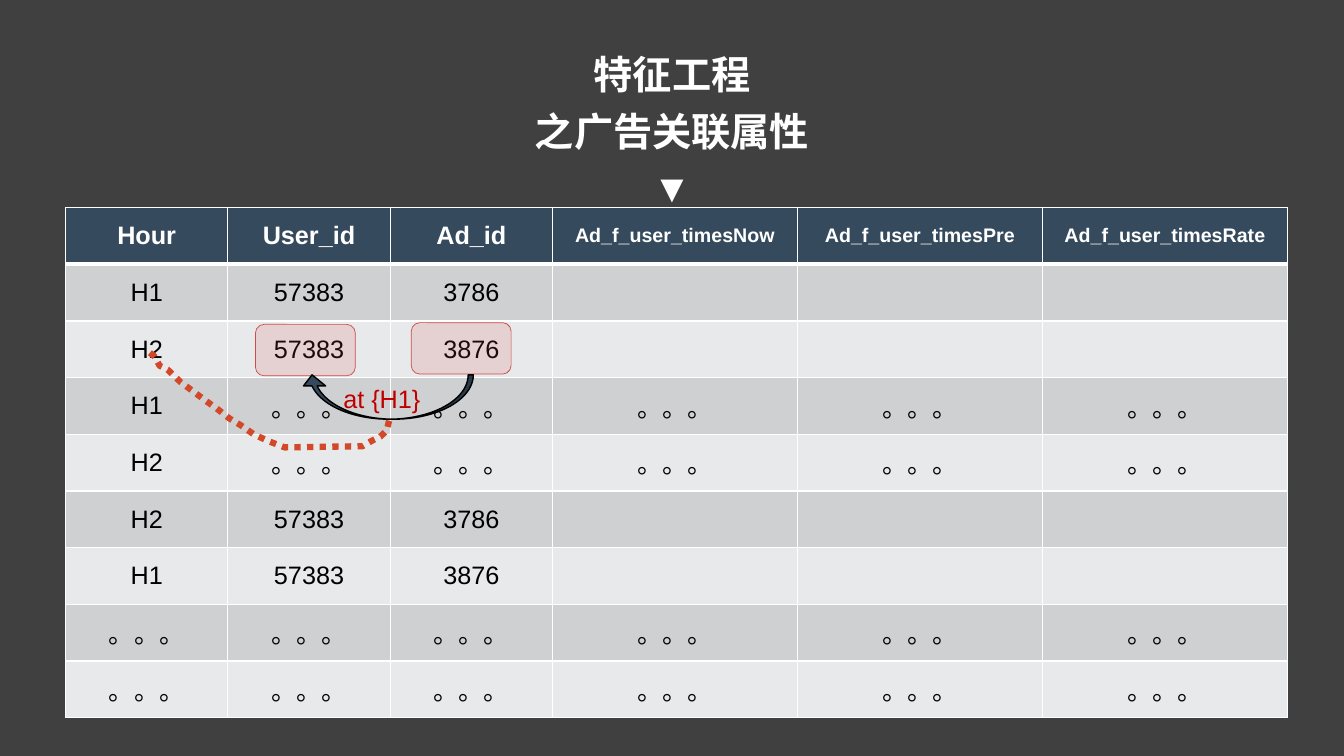
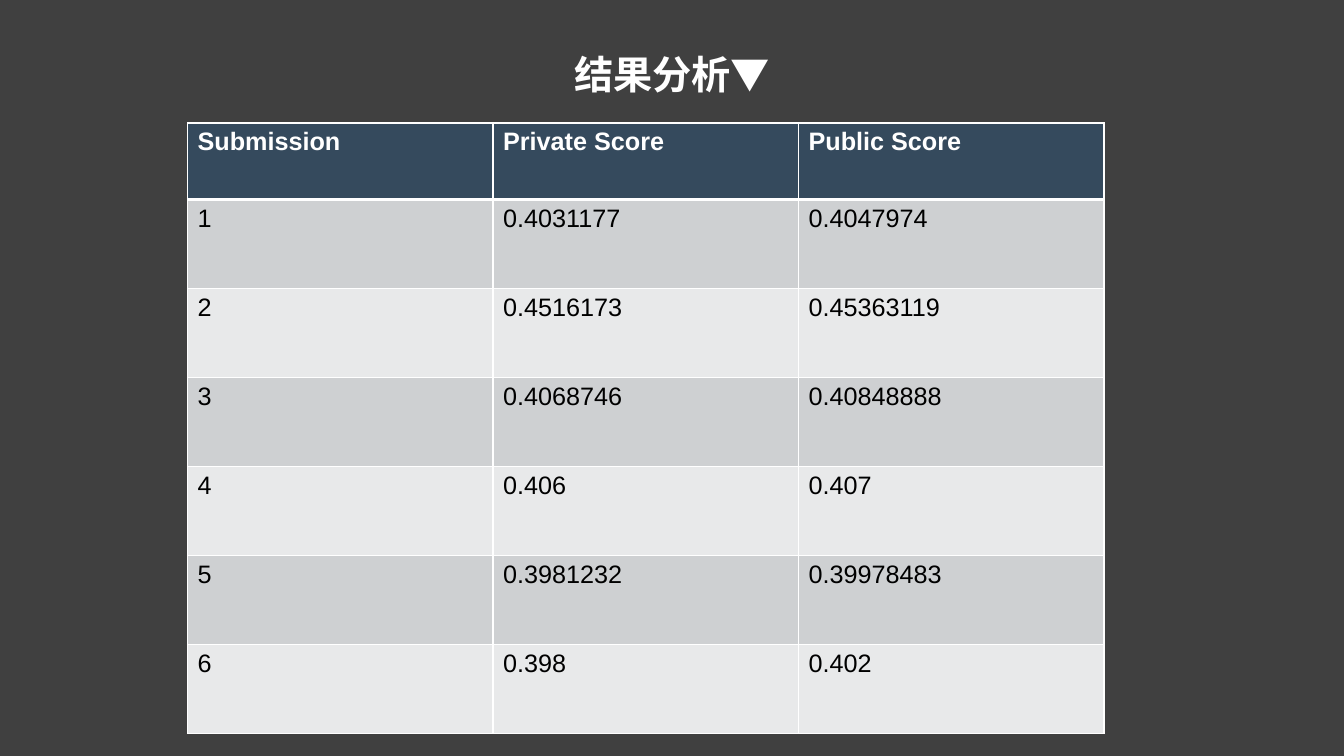
from dataclasses import dataclass
from itertools import accumulate

from pptx import Presentation
from pptx.dml.color import RGBColor
from pptx.enum.dml import MSO_LINE
from pptx.enum.shapes import MSO_SHAPE as Preset
from pptx.enum.text import MSO_ANCHOR as Anchor, MSO_AUTO_SIZE as AutoSize, PP_ALIGN as Align
from pptx.oxml.ns import qn
from pptx.util import Inches, Pt
from lxml.etree import SubElement


@dataclass(frozen=True)
class Theme:
    font: str = "Arial"
    background: str = "404040"
    white: str = "FFFFFF"
    ink: str = "000000"
    navy: str = "354A5D"
    bands: tuple = ("CED0D2", "E8E9EA")
    mark: str = "D54948"
    mark_line: str = "CE4C4B"
    label: str = "C00000"
    trail: str = "D24829"
    title_size: int = 28
    body_size: int = 18
    small_size: int = 14


THEME = Theme()
WIDTH, HEIGHT = 13.33, 7.5
DOTS = "。。。"


@dataclass(frozen=True)
class Grid:
    """Column and row lengths in inches, addressed by fractional cell numbers."""
    left: float
    top: float
    cols: tuple
    rows: tuple

    def place(self, col, row):
        def along(start, lengths, position):
            edges = [start, *accumulate(lengths, initial=start)][1:]
            whole = min(int(position), len(lengths) - 1)
            return Inches(edges[whole] + (position - whole) * lengths[whole])
        return along(self.left, self.cols, col), along(self.top, self.rows, row)


# Text and colour
def rgb(value):
    return RGBColor.from_string(value)


def write(paragraph, text, size=THEME.body_size, color=THEME.ink, bold=False,
          align=None, spacing=None):
    run = paragraph.add_run()
    run.text = text
    font = run.font
    font.name, font.size, font.bold = THEME.font, Pt(size), bold
    font.color.rgb = rgb(color)
    if align is not None:
        paragraph.alignment = align
    if spacing is not None:
        paragraph.line_spacing = spacing


def add_frame(slide, left, top, width, height, wrap=True):
    frame = slide.shapes.add_textbox(left, top, width, height).text_frame
    frame.word_wrap = wrap
    frame.auto_size = AutoSize.SHAPE_TO_FIT_TEXT
    return frame


def add_title(slide, lines, width, height):
    """Each line is a list of text pieces; the triangle is not bold."""
    frame = add_frame(slide, Inches((WIDTH - width) / 2), Inches(0.36),
                      Inches(width), Inches(height), wrap=False)
    for number, pieces in enumerate(lines):
        paragraph = frame.add_paragraph() if number else frame.paragraphs[0]
        for piece in pieces:
            write(paragraph, piece, size=THEME.title_size, color=THEME.white,
                  bold=piece != "▼", align=Align.CENTER, spacing=1.2)


# Tables
def set_borders(cell, **widths):
    properties = cell._tc.get_or_add_tcPr()
    for side in "LRTB":
        line = SubElement(properties, qn(f"a:ln{side}"), w=str(Pt(widths.get(side, 1))))
        fill = SubElement(line, qn("a:solidFill"))
        SubElement(fill, qn("a:srgbClr"), val=THEME.white)


def fill_cell(cell, text, row, anchor, align, header_size):
    if row == 0:
        set_borders(cell, B=3)
        fill, style = THEME.navy, dict(size=header_size, color=THEME.white, bold=True)
    else:
        set_borders(cell, T=3 if row == 1 else 1)
        fill, style = THEME.bands[(row - 1) % 2], {}
    cell.fill.solid()
    cell.fill.fore_color.rgb = rgb(fill)
    cell.vertical_anchor = anchor
    if text:
        write(cell.text_frame.paragraphs[0], text, align=align, **style)


def add_grid_table(slide, grid, records, header_sizes, anchor=Anchor.TOP, align=Align.LEFT):
    table = slide.shapes.add_table(
        len(grid.rows), len(grid.cols), *grid.place(0, 0),
        Inches(sum(grid.cols)), Inches(sum(grid.rows))).table
    for column, width in zip(table.columns, grid.cols):
        column.width = Inches(width)
    for line, height in zip(table.rows, grid.rows):
        line.height = Inches(height)
    for row, record in enumerate(records):
        for col, text in enumerate(record):
            fill_cell(table.cell(row, col), text, row, anchor, align, header_sizes[col])


# Marks on the table
def add_mark(slide, preset, corner, size, fill, line, weight, opacity=None):
    mark = slide.shapes.add_shape(preset, *corner, *map(Inches, size))
    mark.shadow.inherit = False
    mark.fill.solid()
    mark.fill.fore_color.rgb = rgb(fill)
    mark.line.color.rgb = rgb(line)
    mark.line.width = Pt(weight)
    if opacity is not None:
        color = mark.fill._xPr.find(qn("a:solidFill")).find(qn("a:srgbClr"))
        SubElement(color, qn("a:alpha"), val=str(opacity * 1000))
    return mark


def add_trail(slide, points):
    start, *rest = points
    builder = slide.shapes.build_freeform(*start)
    builder.add_line_segments(rest, close=False)
    trail = builder.convert_to_shape()
    trail.shadow.inherit = False
    trail.fill.background()
    trail.line.color.rgb = rgb(THEME.trail)
    trail.line.width = Pt(4.5)
    trail.line.dash_style = MSO_LINE.ROUND_DOT


# Slides
def new_slide(deck):
    slide = deck.slides.add_slide(deck.slide_layouts[6])
    slide.background.fill.solid()
    slide.background.fill.fore_color.rgb = rgb(THEME.background)
    return slide


def build_features(deck):
    slide = new_slide(deck)
    add_title(slide, [["特征工程"], ["之广告关联属性"], ["▼"]], 2.95, 1.8)

    # Feature log
    grid = Grid(0.65, 2.06, (1.61,) * 3 + (2.43,) * 3, (5.06 / 9,) * 9)
    blanks = [""] * 3
    records = [
        ["Hour", "User_id", "Ad_id"] + [f"Ad_f_user_times{end}" for end in ("Now", "Pre", "Rate")],
        ["H1", "57383", "3786", *blanks],
        ["H2", "57383", "3876", *blanks],
        ["H1"] + [DOTS] * 5,
        ["H2"] + [DOTS] * 5,
        ["H2", "57383", "3786", *blanks],
        ["H1", "57383", "3876", *blanks],
        [DOTS] * 6,
        [DOTS] * 6,
    ]
    sizes = [THEME.body_size] * 3 + [THEME.small_size] * 3
    add_grid_table(slide, grid, records, sizes, Anchor.MIDDLE, Align.CENTER)

    # Highlighted pair of ids
    for corner in ((2.13, 2.03), (1.17, 2.06)):
        box = add_mark(slide, Preset.ROUNDED_RECTANGLE, grid.place(*corner), (0.99, 0.51),
                       THEME.mark, THEME.mark_line, 0.5, opacity=15)

    # Link from ad to user, with its label
    label = add_frame(slide, *grid.place(1.65, 3.02), Inches(1.14), Inches(0.4))
    write(label.paragraphs[0], "at {H1}", color=THEME.label)
    link = add_mark(slide, Preset.CURVED_DOWN_ARROW, grid.place(1.45, 2.95), (1.71, 0.44),
                    THEME.navy, THEME.ink, 1)
    link.rotation = 180
    for index, value in enumerate((0.116, 0.5, 0.25)):
        link.adjustments[index] = value

    # Dotted trail from the hour to the link
    trail = [(0.52, 2.56), (0.55, 2.63), (0.58, 2.79), (0.63, 2.86), (0.71, 3.08),
             (0.8, 3.27), (0.86, 3.4), (0.93, 3.54), (1.01, 3.72), (1.08, 3.84),
             (1.16, 4), (1.25, 4.12), (1.35, 4.23), (1.83, 4.21), (1.89, 4.11),
             (1.94, 4.04), (1.98, 3.93), (1.99, 3.8), (2, 3.7)]
    add_trail(slide, [grid.place(*point) for point in trail])


def build_results(deck):
    slide = new_slide(deck)
    add_title(slide, [["结果分析", "▼"]], 2.16, 0.62)

    # Scores by submission
    scores = [("0.4031177", "0.4047974"), ("0.4516173", "0.45363119"),
              ("0.4068746", "0.40848888"), ("0.406", "0.407"),
              ("0.3981232", "0.39978483"), ("0.398", "0.402")]
    records = [("Submission", "Private Score", "Public Score")]
    records += [(str(number), *pair) for number, pair in enumerate(scores, 1)]
    grid = Grid(1.86, 1.22, (3.03,) * 3, (0.76,) + (5.3 / 6,) * 6)
    add_grid_table(slide, grid, records, [THEME.body_size] * 3)


def main():
    deck = Presentation()
    deck.slide_width, deck.slide_height = Inches(WIDTH), Inches(HEIGHT)
    build_features(deck)
    build_results(deck)
    deck.save("out.pptx")


if __name__ == "__main__":
    main()
